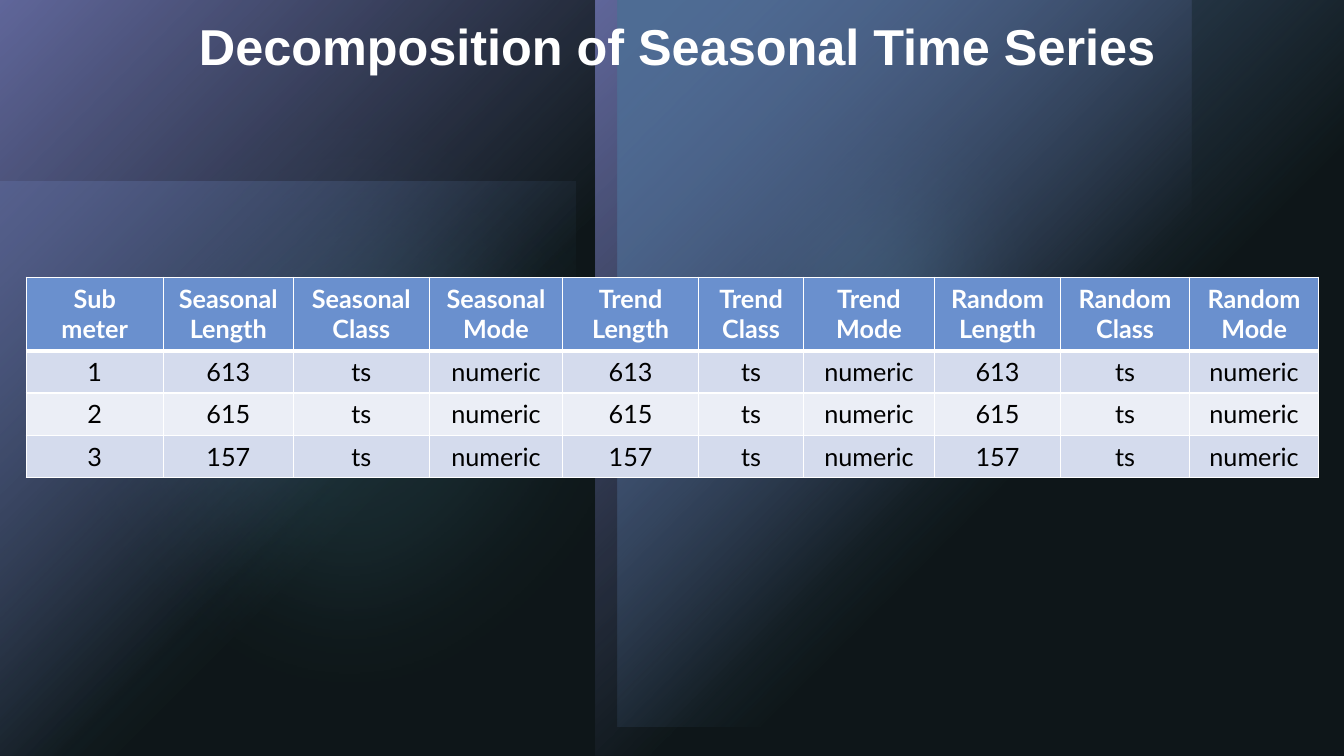
from dataclasses import dataclass

from lxml import etree
from pptx import Presentation
from pptx import util as u
from pptx.dml.color import RGBColor
from pptx.enum import shapes, text
from pptx.oxml import ns

RECTANGLE = shapes.MSO_SHAPE.RECTANGLE
OVAL = shapes.MSO_SHAPE.OVAL
SOFT_EDGE = u.Inches(1.25)


@dataclass
class Panel:
    left: float
    top: float
    width: float
    height: float
    color: str
    alpha: int = 100
    kind: shapes.MSO_SHAPE = RECTANGLE
    fades: bool = True


PANELS = [
    Panel(0, 1.8, 5.71, 5.71, "6A90CE", 60),
    Panel(6.29, 0.43, 4.72, 4.72, "5AAEC3", 60, OVAL, False),
    Panel(0, 0.56, 6.94, 6.94, "5AAEC3", 20, OVAL, False),
    Panel(0, 0, 5.91, 7.5, "8885D7"),
    Panel(5.91, 0, 5.91, 7.5, "8885D7"),
    Panel(6.13, 0, 7.21, 7.21, "6A90CE"),
    Panel(0, 0, 13.33, 7.5, "24393F", 40, RECTANGLE, False),
]

COLUMN_WIDTHS = [1.36, 1.29, 1.35, 1.32, 1.35, 1.04, 1.3, 1.25, 1.28, 1.28]
ROW_HEIGHTS = [0.73, 0.42, 0.42, 0.42]
HEADERS = ["Sub\nmeter"] + [
    f"{part}\n{measure}"
    for part in ("Seasonal", "Trend", "Random")
    for measure in ("Length", "Class", "Mode")
]
LENGTHS = {"1": "613", "2": "615", "3": "157"}
ROWS = [HEADERS] + [
    [meter] + [length, "ts", "numeric"] * 3 for meter, length in LENGTHS.items()
]
ROW_FILLS = ["6A90CE", "D4DBED", "EBEEF6", "D4DBED"]


def rgb(value: str) -> RGBColor:
    return RGBColor.from_string(value)


def add_child(parent, tag: str, **attributes):
    return etree.SubElement(parent, ns.qn(tag), attributes)


def add_panel(page, panel: Panel) -> None:
    place = (panel.left, panel.top, panel.width, panel.height)
    shape = page.shapes.add_shape(panel.kind, *map(u.Inches, place))
    shape.shadow.inherit = False
    shape.line.fill.background()
    if panel.fades:
        shape.fill.gradient()
        shape.fill.gradient_angle = 315
        alphas = [panel.alpha, 0]
        for stop, position in zip(shape.fill.gradient_stops, (0, 0.6)):
            stop.color.rgb = rgb(panel.color)
            stop.position = position
    else:
        shape.fill.solid()
        shape.fill.fore_color.rgb = rgb(panel.color)
        alphas = [panel.alpha]
    properties = shape._element.spPr
    for color, alpha in zip(properties.iter(ns.qn("a:srgbClr")), alphas):
        add_child(color, "a:alpha", val=str(alpha * 1000))
    if panel.kind == OVAL:
        effects = properties.find(ns.qn("a:effectLst"))
        add_child(effects, "a:softEdge", rad=str(SOFT_EDGE))


def format_text(frame, font: str, size: int, color: str, bold: bool) -> None:
    for para in frame.paragraphs:
        para.alignment = text.PP_ALIGN.CENTER
        for span in para.runs:
            span.font.name = font
            span.font.size = u.Pt(size)
            span.font.bold = bold
            span.font.color.rgb = rgb(color)


def add_title(page) -> None:
    title = page.shapes.title
    title.left, title.top = u.Inches(1.13), u.Inches(0.18)
    title.width, title.height = u.Inches(11.18), u.Inches(0.63)
    frame = title.text_frame
    frame.text = "Decomposition of Seasonal Time Series"
    frame.vertical_anchor = text.MSO_ANCHOR.BOTTOM
    frame.auto_size = text.MSO_AUTO_SIZE.NONE
    frame.paragraphs[0].line_spacing = 0.9
    format_text(frame, "Arial", 36, "FFFFFF", True)
    page.shapes._spTree.append(title._element)


def border_cell(cell, bottom: int) -> None:
    properties = cell._tc.get_or_add_tcPr()
    sides = [("L", 1), ("R", 1), ("T", 1), ("B", bottom)]
    for index, (side, points) in enumerate(sides):
        line = etree.Element(ns.qn(f"a:ln{side}"), w=str(u.Pt(points)))
        add_child(add_child(line, "a:solidFill"), "a:srgbClr", val="FFFFFF")
        properties.insert(index, line)


def add_summary_table(page) -> None:
    frame = page.shapes.add_table(
        len(ROWS), len(HEADERS), u.Inches(0.26), u.Inches(2.75),
        u.Inches(sum(COLUMN_WIDTHS)), u.Inches(sum(ROW_HEIGHTS)),
    )
    table = frame.table
    for column, width in zip(table.columns, COLUMN_WIDTHS):
        column.width = u.Inches(width)
    for index, (row, height) in enumerate(zip(table.rows, ROW_HEIGHTS)):
        row.height = u.Inches(height)
        header = index == 0
        for cell, value in zip(row.cells, ROWS[index]):
            cell.text_frame.text = value
            cell.vertical_anchor = text.MSO_ANCHOR.MIDDLE
            cell.fill.solid()
            cell.fill.fore_color.rgb = rgb(ROW_FILLS[index])
            color = "FFFFFF" if header else "000000"
            format_text(cell.text_frame, "Lato", 18, color, header)
            border_cell(cell, 3 if header else 1)


def main() -> None:
    deck = Presentation()
    deck.slide_width, deck.slide_height = u.Inches(13.33), u.Inches(7.5)
    page = deck.slides.add_slide(deck.slide_layouts[5])
    page.background.fill.solid()
    page.background.fill.fore_color.rgb = rgb("000000")
    for panel in PANELS:
        add_panel(page, panel)
    add_title(page)
    add_summary_table(page)
    deck.save("out.pptx")


if __name__ == "__main__":
    main()
